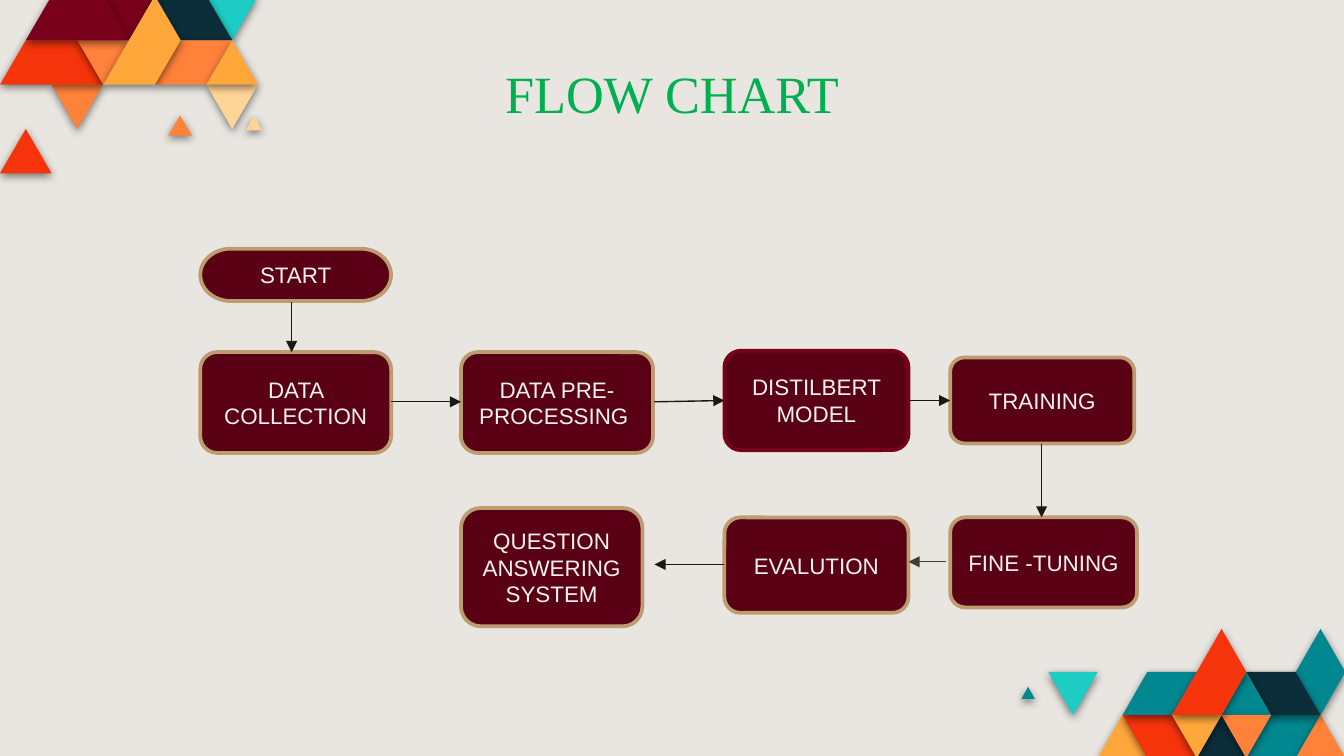
import pptx
import pptx.util
import pptx.dml.color
import pptx.enum.shapes
import pptx.enum.text
import pptx.oxml
import pptx.oxml.ns

Inches = pptx.util.Inches
Pt = pptx.util.Pt
RGBColor = pptx.dml.color.RGBColor
MSO_SHAPE = pptx.enum.shapes.MSO_SHAPE

SLIDE_WIDTH = Inches(10)
SLIDE_HEIGHT = SLIDE_WIDTH * 9 // 16

BACKGROUND = RGBColor(0xE9, 0xE6, 0xE1)
TITLE_GREEN = RGBColor(0x00, 0xB0, 0x50)
BOX_FILL = RGBColor(0x5A, 0x00, 0x14)
BOX_TEXT = RGBColor(0xF6, 0xF3, 0xEC)
TAN = RGBColor(0xBD, 0x9D, 0x70)
MAROON = RGBColor(0x78, 0x00, 0x1B)
ARROW_DARK = RGBColor(0x1A, 0x18, 0x13)
ARROW_BROWN = RGBColor(0x42, 0x3B, 0x30)
RED = RGBColor(0xF5, 0x34, 0x0B)
ORANGE = RGBColor(0xFF, 0x82, 0x3B)
AMBER = RGBColor(0xFF, 0xA7, 0x3B)
SAND = RGBColor(0xFF, 0xD4, 0x97)
TEAL = RGBColor(0x01, 0x87, 0x90)
TURQUOISE = RGBColor(0x1D, 0xCD, 0xC3)
NAVY = RGBColor(0x0C, 0x2E, 0x3A)

TITLE = "FLOW CHART"

# text, left, top, width, height, outline
STEPS = [
    ("START", 1.49, 1.85, 1.42, 0.39, TAN),
    ("DATA COLLECTION", 1.49, 2.62, 1.42, 0.75, TAN),
    ("DATA PRE-PROCESSING ", 3.43, 2.62, 1.43, 0.75, TAN),
    ("DISTILBERT MODEL", 5.39, 2.61, 1.37, 0.74, MAROON),
    ("TRAINING", 7.07, 2.66, 1.37, 0.64, TAN),
    ("FINE -TUNING", 7.07, 3.85, 1.39, 0.67, TAN),
    ("EVALUTION", 5.39, 3.85, 1.37, 0.71, TAN),
    ("QUESTION ANSWERING SYSTEM", 3.43, 3.78, 1.35, 0.88, TAN),
]

# start, end, colour
ARROWS = [
    ((2.17, 2.25), (2.17, 2.62), ARROW_DARK),
    ((2.91, 2.99), (3.43, 2.99), ARROW_DARK),
    ((4.87, 2.99), (5.39, 2.98), ARROW_DARK),
    ((6.76, 2.98), (7.07, 2.98), ARROW_DARK),
    ((7.75, 3.30), (7.75, 3.85), ARROW_DARK),
    ((7.04, 4.18), (6.76, 4.18), ARROW_BROWN),
    ((5.39, 4.20), (4.87, 4.20), ARROW_DARK),
]

# Each mosaic is a triangular lattice; its tiles list (column, row) corners.
MOSAICS = [
    {
        "origin": (0, -0.03), "column": 1.92 / 10, "row": 0.33,
        "tiles": [
            (MAROON, [(6, 0), (5, 1), (4, 0)]),
            (TURQUOISE, [(10, 0), (9, 1), (8, 0)]),
            (NAVY, [(9, 1), (7, 1), (6, 0), (8, 0)]),
            (SAND, [(10, 2), (9, 3), (8, 2)]),
            (ORANGE, [(9, 1), (8, 2), (6, 2), (7, 1)]),
            (AMBER, [(10, 2), (8, 2), (9, 1)]),
            (ORANGE, [(4, 2), (3, 3), (2, 2)]),
            (RED, [(2, 4), (0, 4), (1, 3)]),
            (RED, [(4, 2), (0, 2), (1, 1), (3, 1)]),
            (ORANGE, [(5, 1), (4, 2), (3, 1)]),
            (MAROON, [(5, 1), (1, 1), (2, 0), (4, 0)]),
            (AMBER, [(7, 1), (6, 2), (4, 2), (6, 0)]),
        ],
    },
    {
        "origin": (7.8, 4.68), "column": 2.21 / 12, "row": 0.32,
        "tiles": [
            (AMBER, [(2, 3), (3, 2), (4, 3)]),
            (RED, [(3, 2), (5, 2), (6, 3), (4, 3)]),
            (TEAL, [(8, 3), (9, 2), (11, 2), (10, 3)]),
            (ORANGE, [(10, 3), (11, 2), (12, 3)]),
            (NAVY, [(6, 3), (7, 2), (8, 3)]),
            (TEAL, [(3, 2), (4, 1), (6, 1), (5, 2)]),
            (TURQUOISE, [(0, 1), (2, 1), (1, 2)]),
            (TEAL, [(10, 1), (11, 0), (12, 1), (11, 2)]),
            (NAVY, [(8, 1), (10, 1), (11, 2), (9, 2)]),
            (TEAL, [(7, 2), (8, 1), (9, 2)]),
            (ORANGE, [(7, 2), (9, 2), (8, 3)]),
            (AMBER, [(5, 2), (7, 2), (6, 3)]),
            (RED, [(5, 2), (7, 0), (8, 1), (7, 2)]),
        ],
    },
]

# colour, corners in inches
LOOSE_TRIANGLES = [
    (ORANGE, [(1.43, 1.01), (1.25, 1.01), (1.34, 0.86)]),
    (SAND, [(1.95, 0.97), (1.83, 0.97), (1.89, 0.86)]),
    (TEAL, [(7.6, 5.2), (7.65, 5.11), (7.7, 5.2)]),
]

SHADOW_XML = (
    f'<a:effectLst {pptx.oxml.ns.nsdecls("a")}>'
    '<a:outerShdw blurRad="57150" dist="19050" dir="5400000" algn="bl" rotWithShape="0">'
    '<a:srgbClr val="000000"><a:alpha val="50000"/></a:srgbClr>'
    '</a:outerShdw></a:effectLst>'
)
NO_EFFECT_XML = f'<a:effectLst {pptx.oxml.ns.nsdecls("a")}/>'
ARROWHEAD_XML = f'<a:tailEnd {pptx.oxml.ns.nsdecls("a")} type="triangle"/>'


def add_tile(slide, color, corners):
    """Draw a filled polygon with a soft shadow below it."""
    points = [(Inches(x), Inches(y)) for x, y in corners]
    builder = slide.shapes.build_freeform(*points[0])
    builder.add_line_segments(points[1:], close=True)
    shape = builder.convert_to_shape()
    shape.fill.solid()
    shape.fill.fore_color.rgb = color
    shape.line.fill.background()
    shape._element.spPr.append(pptx.oxml.parse_xml(SHADOW_XML))


def add_centred_text(shape, text, font_name, size, color):
    frame = shape.text_frame
    frame.word_wrap = True
    frame.vertical_anchor = pptx.enum.text.MSO_ANCHOR.MIDDLE
    paragraph = frame.paragraphs[0]
    paragraph.alignment = pptx.enum.text.PP_ALIGN.CENTER
    run = paragraph.add_run()
    run.text = text
    run.font.name = font_name
    run.font.size = Pt(size)
    run.font.color.rgb = color
    return paragraph


def add_step(slide, preset, text, left, top, width, height, outline):
    shape = slide.shapes.add_shape(
        preset, Inches(left), Inches(top), Inches(width), Inches(height))
    shape.shadow.inherit = False
    shape.fill.solid()
    shape.fill.fore_color.rgb = BOX_FILL
    shape.line.color.rgb = outline
    shape.line.width = Pt(2)
    add_centred_text(shape, text, "Arial", 12, BOX_TEXT)


def add_arrow(slide, start, end, color):
    connector = slide.shapes.add_connector(
        pptx.enum.shapes.MSO_CONNECTOR.STRAIGHT,
        *(Inches(value) for value in start + end))
    connector.line.color.rgb = color
    connector.line.width = Pt(0.75)
    connector.line._get_or_add_ln().append(pptx.oxml.parse_xml(ARROWHEAD_XML))
    connector._element.spPr.append(pptx.oxml.parse_xml(NO_EFFECT_XML))


def main():
    presentation = pptx.Presentation()
    presentation.slide_width = SLIDE_WIDTH
    presentation.slide_height = SLIDE_HEIGHT
    slide = presentation.slides.add_slide(presentation.slide_layouts[6])
    slide.background.fill.solid()
    slide.background.fill.fore_color.rgb = BACKGROUND

    for mosaic in MOSAICS:
        left, top = mosaic["origin"]
        for color, corners in mosaic["tiles"]:
            add_tile(slide, color, [
                (left + column * mosaic["column"], top + row * mosaic["row"])
                for column, row in corners])
    for color, corners in LOOSE_TRIANGLES:
        add_tile(slide, color, corners)

    title = slide.shapes.add_textbox(
        Inches(3.58), Inches(0.37), Inches(2.84), Inches(0.72))
    paragraph = add_centred_text(title, TITLE, "Times New Roman", 28, TITLE_GREEN)
    paragraph.line_spacing = 0.8

    for index, step in enumerate(STEPS):
        preset = MSO_SHAPE.ROUNDED_RECTANGLE if index else MSO_SHAPE.FLOWCHART_TERMINATOR
        add_step(slide, preset, *step)
    for arrow in ARROWS:
        add_arrow(slide, *arrow)

    presentation.save("out.pptx")


if __name__ == "__main__":
    main()
